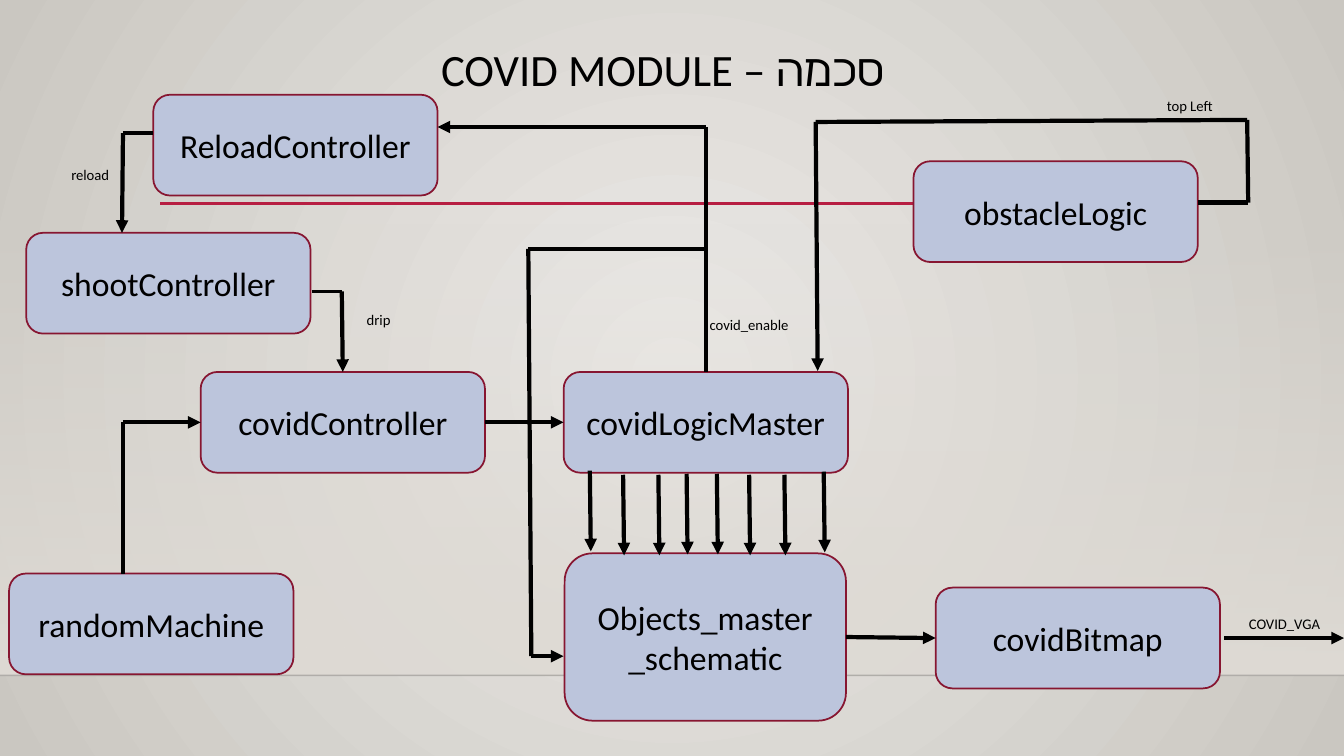
from itertools import pairwise

from pptx import Presentation
from pptx.dml.color import RGBColor
from pptx.enum.shapes import MSO_CONNECTOR, MSO_SHAPE
from pptx.enum.text import MSO_ANCHOR, PP_ALIGN
from pptx.oxml.ns import qn
from pptx.util import Pt
from lxml.etree import SubElement

PX = 9144  # 100 px to the inch
WIDE, HIGH = 1333, 750
COLORS = {
    "glow": "ECEAE7", "edge": "CAC7C1", "floor": "DFDBD5", "seam": "000001",
    "rule": "B71E42", "node": "BCC5DC", "rim": "871631", "ink": "000000",
}
FONT = "Calibri"
TOP, LEFT, BOTTOM, RIGHT = range(4)

# name: (left, top, width, height, text)
NODES = {
    "covid": (199, 369, 282, 100, "covidController"),
    "logic": (559, 369, 282, 100, "covidLogicMaster"),
    "reload": (152, 94, 282, 100, "ReloadController"),
    "objects": (560, 549, 279, 166, "Objects_master\n_schematic"),
    "bitmap": (928, 583, 282, 100, "covidBitmap"),
    "random": (9, 569, 282, 100, "randomMachine"),
    "obstacle": (906, 160, 282, 100, "obstacleLogic"),
    "shoot": (26, 231, 282, 100, "shootController"),
}
# points, arrow at the end, width of first leg, joined start, joined end
WIRES = [
    ([(481, 419), (559, 419)], True, 3, ("covid", RIGHT), ("logic", LEFT)),
    ([(839, 632), (928, 633)], True, 3, ("objects", RIGHT), ("bitmap", LEFT)),
    ([(1214, 633), (1333, 633)], True, 3, None, None),
    ([(152, 132), (122, 132), (121, 231)], True, 2.25, None, None),
    ([(309, 289), (339, 289), (340, 369)], True, 2.25, None, ("covid", TOP)),
    ([(122, 569), (122, 419), (199, 419)], True, 3, None, ("covid", LEFT)),
    ([(700, 369), (700, 126), (434, 126)], True, 3, ("logic", TOP), None),
    ([(700, 247), (524, 247), (527, 651), (559, 651)], True, 3, None, None),
    ([(1188, 201), (1238, 201), (1237, 119), (809, 121), (811, 368)],
     True, 3, None, None),
]
# start of each arrow from the logic to the objects
FAN = [(585, 467), (618, 471), (653, 471), (681, 470),
       (711, 470), (743, 471), (778, 471), (817, 468)]
DROP = 80
LABELS = [
    (1216, 608, 116, 22, "COVID_VGA"), (685, 311, 116, 22, "covid_enable"),
    (339, 303, 73, 28, "drip"), (1122, 94, 116, 22, "top Left"),
    (53, 159, 73, 28, "reload"),
]


def rgb(name):
    return RGBColor.from_string(COLORS[name])


def px(*sizes):
    return [size * PX for size in sizes]


def fade(color, percent):
    """Make a filled colour partly transparent."""
    SubElement(color, qn("a:alpha"), val=str(percent * 1000))


def style(frame, size):
    for para in frame.paragraphs:
        para.alignment = PP_ALIGN.CENTER
        para.font.size = Pt(size)
        para.font.name = FONT
        para.font.color.rgb = rgb("ink")


def line(slide, start, end, color="ink", width=3, arrow=False):
    wire = slide.shapes.add_connector(MSO_CONNECTOR.STRAIGHT, *px(*start, *end))
    wire.line.color.rgb = rgb(color)
    wire.line.width = Pt(width)
    props = wire._element.spPr
    if arrow:
        SubElement(props.find(qn("a:ln")), qn("a:tailEnd"), type="triangle")
    SubElement(props, qn("a:effectLst"))
    return wire


def backdrop(slide, box):
    left, top, width, height = box
    # Round glow behind everything
    fill = slide.background.fill
    fill.gradient()
    for stop, name in zip(fill.gradient_stops, ("glow", "edge")):
        stop.color.rgb = rgb(name)
    grad = slide._element.find(".//" + qn("a:gradFill"))
    grad.remove(grad.find(qn("a:lin")))
    ring = SubElement(grad, qn("a:path"), path="circle")
    SubElement(ring, qn("a:fillToRect"), l="50000", t="50000", r="50000", b="50000")

    # Wall that fades in towards the floor
    wall = slide.shapes.add_shape(
        MSO_SHAPE.RECTANGLE, *px(left, top + 221, width, 449))
    wall.shadow.inherit = False
    wall.line.fill.background()
    wall.fill.gradient()
    wall.fill.gradient_angle = 270
    for stop in wall.fill.gradient_stops:
        stop.color.rgb = rgb("floor")
    fade(wall._element.spPr.find(".//" + qn("a:srgbClr")), 0)

    # Floor seam and title rule
    seam = line(slide, (left, top + 670), (left + width, top + 670), "seam", 1)
    fade(seam._element.spPr.find(".//" + qn("a:srgbClr")), 20)
    line(slide, (left + 159, top + 202), (left + 1210, top + 202), "rule", 2.5)


def heading(slide, box):
    title = slide.shapes.title
    slide.shapes._spTree.append(title._element)
    title.left, title.top, title.width, title.height = px(*box)
    frame = title.text_frame
    frame.vertical_anchor = MSO_ANCHOR.TOP
    para = frame.paragraphs[0]
    para.line_spacing = 0.9
    for text, font in (("COVID MODULE – ", FONT), ("סכמה", "Roboto")):
        run = para.add_run()
        run.text = text
        run.font.size = Pt(32)
        run.font.name = font
        run.font.color.rgb = rgb("ink")
        SubElement(run._r.rPr, qn("a:cs"), typeface=font)
    para.alignment = PP_ALIGN.CENTER


def node(slide, box, text):
    shape = slide.shapes.add_shape(MSO_SHAPE.ROUNDED_RECTANGLE, *px(*box))
    shape.shadow.inherit = False
    shape.fill.solid()
    shape.fill.fore_color.rgb = rgb("node")
    shape.line.color.rgb = rgb("rim")
    shape.line.width = Pt(1.25)
    shape.text_frame.text = text
    shape.text_frame.vertical_anchor = MSO_ANCHOR.MIDDLE
    style(shape.text_frame, 24)
    return shape


def label(slide, box, text):
    frame = slide.shapes.add_textbox(*px(*box)).text_frame
    frame.word_wrap = True
    frame.vertical_anchor = MSO_ANCHOR.MIDDLE
    frame.text = text
    style(frame, 10.5)


def diagram(slide, box):
    left, top = box[:2]
    # Modules
    nodes = {name: node(slide, (left + x, top + y, w, h), text)
             for name, (x, y, w, h, text) in NODES.items()}

    # Signals between modules
    fan = [([(x, y), (x + 1, y + DROP)], True, 3, None, None) for x, y in FAN]
    for points, arrow, width, start, end in WIRES + fan:
        spots = [(left + x, top + y) for x, y in points]
        legs = []
        for i, (a, b) in enumerate(pairwise(spots)):
            last = i == len(spots) - 2
            legs.append(line(slide, a, b, width=3 if i else width,
                             arrow=arrow and last))
        if start:
            legs[0].begin_connect(nodes[start[0]], start[1])
        if end:
            legs[-1].end_connect(nodes[end[0]], end[1])

    # Signal names
    for x, y, w, h, text in LABELS:
        label(slide, (left + x, top + y, w, h), text)


def main():
    deck = Presentation()
    deck.slide_width, deck.slide_height = px(WIDE, HIGH)
    slide = deck.slides.add_slide(deck.slide_layouts[5])
    backdrop(slide, (0, 0, WIDE, HIGH))
    heading(slide, (82, 42, 1150, 145))
    diagram(slide, (0, 0, WIDE, HIGH))
    deck.save("out.pptx")


if __name__ == "__main__":
    main()
